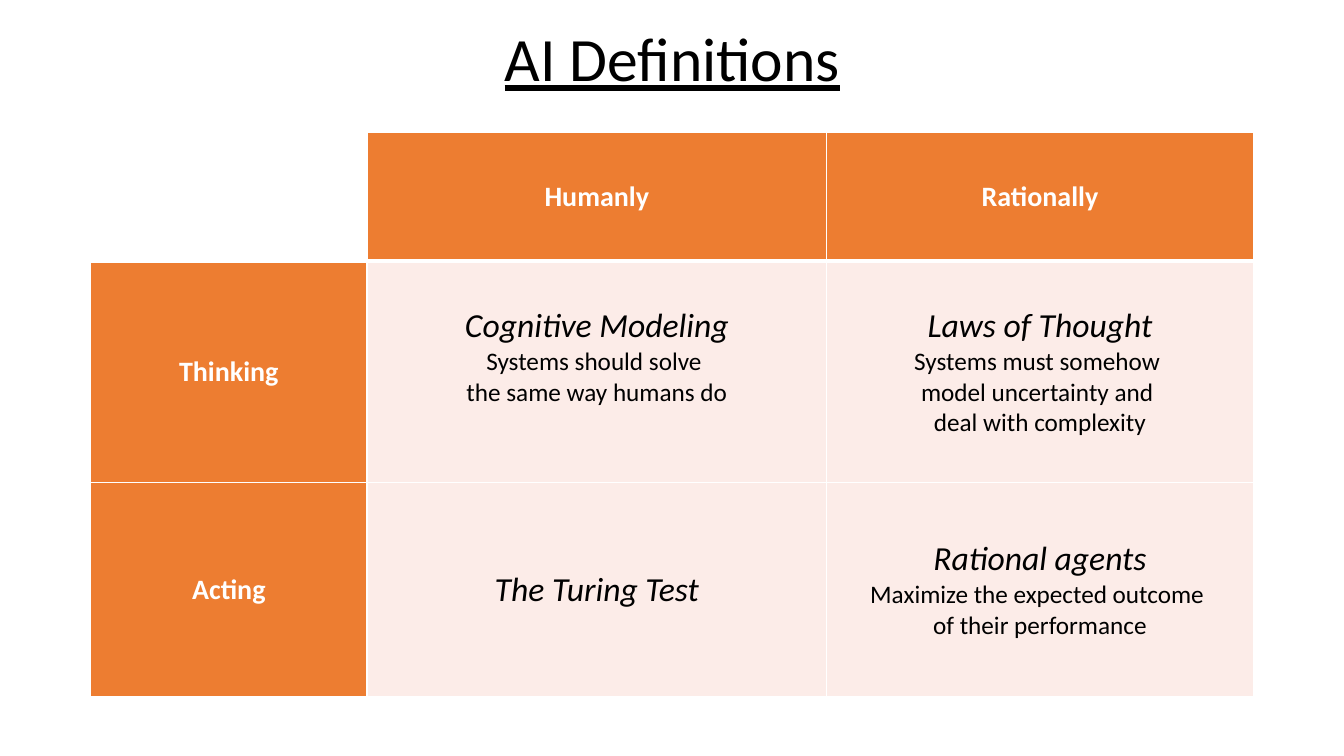
from lxml import etree
from pptx import Presentation
from pptx.dml.color import RGBColor
from pptx.enum.text import MSO_ANCHOR, PP_ALIGN
from pptx.oxml.ns import qn
from pptx.util import Inches, Pt

CENTER = PP_ALIGN.CENTER
MIDDLE = MSO_ANCHOR.MIDDLE
TITLE_ONLY = 5
FONT = "Calibri"
COLORS = {"black": "000000", "white": "FFFFFF", "orange": "ED7D31", "blush": "FCECE8"}

COLUMN_WIDTHS = [2.74, 4.56, 4.23]
ROW_HEIGHTS = [1.28, 2.2, 2.12]
COLUMN_HEADERS = ["Humanly", "Rationally"]
# Each row: its header, then (concept, explanation lines, bottom margin) per column
DEFINITIONS = [
    ("Thinking", [
        ("Cognitive Modeling", ["Systems should solve ", "the same way humans do"], 0.35),
        ("Laws of Thought",
         ["Systems must somehow ", "model uncertainty and ", "deal with complexity"], 0.05),
    ]),
    ("Acting", [
        ("The Turing Test", [], 0.05),
        ("Rational agents", ["Maximize the expected outcome ", "of their performance"], 0.05),
    ]),
]


def rgb(name):
    return RGBColor.from_string(COLORS[name])


def write_text(paragraph, lines, size, color="black", bold=False, italic=False, underline=False):
    """Write centred lines into one paragraph, parted by line breaks."""
    paragraph.alignment = CENTER
    for index, line in enumerate(lines):
        if index:
            paragraph.add_line_break()
        run = paragraph.add_run()
        run.text = line
        font = run.font
        font.name, font.size, font.color.rgb = FONT, Pt(size), rgb(color)
        font.bold, font.italic, font.underline = bold, italic, underline


def set_borders(cell, top=1, bottom=1):
    properties = cell._tc.get_or_add_tcPr()
    for side, width in (("L", 1), ("R", 1), ("T", top), ("B", bottom)):
        line = etree.SubElement(properties, qn(f"a:ln{side}"), w=str(Pt(width)))
        fill = etree.SubElement(line, qn("a:solidFill"))
        etree.SubElement(fill, qn("a:srgbClr"), val=COLORS["white"])


def fill_cell(cell, color):
    cell.vertical_anchor = MIDDLE
    cell.fill.solid()
    cell.fill.fore_color.rgb = rgb(color)


def write_header(cell, text):
    fill_cell(cell, "orange")
    write_text(cell.text_frame.paragraphs[0], [text], size=20, color="white", bold=True)


def write_definition(cell, concept, explanation, bottom_margin):
    fill_cell(cell, "blush")
    cell.margin_bottom = Inches(bottom_margin)
    write_text(cell.text_frame.paragraphs[0], [concept], size=24, italic=True)
    if explanation:
        write_text(cell.text_frame.add_paragraph(), explanation, size=18)


def add_title(slide, text):
    title = slide.shapes.title
    title.left, title.top = Inches(0.92), Inches(0.1)
    title.width, title.height = Inches(11.5), Inches(1.03)
    title.text_frame.vertical_anchor = MIDDLE
    paragraph = title.text_frame.paragraphs[0]
    paragraph.line_spacing = 0.9
    write_text(paragraph, [text], size=44, underline=True)


def add_definition_table(slide):
    table = slide.shapes.add_table(
        len(ROW_HEIGHTS), len(COLUMN_WIDTHS), Inches(0.9), Inches(1.31),
        Inches(sum(COLUMN_WIDTHS)), Inches(sum(ROW_HEIGHTS))).table
    for column, width in zip(table.columns, COLUMN_WIDTHS):
        column.width = Inches(width)
    for row, height in zip(table.rows, ROW_HEIGHTS):
        row.height = Inches(height)

    # White grid, with a thicker line under the header row
    for row_index, row in enumerate(table.rows):
        for cell in row.cells:
            set_borders(cell, top=3 if row_index == 1 else 1, bottom=3 if row_index == 0 else 1)

    # Headers and definitions
    table.cell(0, 0).fill.background()
    for column_index, header in enumerate(COLUMN_HEADERS, start=1):
        write_header(table.cell(0, column_index), header)
    for row_index, (header, definitions) in enumerate(DEFINITIONS, start=1):
        write_header(table.cell(row_index, 0), header)
        for column_index, definition in enumerate(definitions, start=1):
            write_definition(table.cell(row_index, column_index), *definition)


def main():
    presentation = Presentation()
    presentation.slide_width, presentation.slide_height = Inches(13.33), Inches(7.5)
    slide = presentation.slides.add_slide(presentation.slide_layouts[TITLE_ONLY])
    add_title(slide, "AI Definitions")
    add_definition_table(slide)
    presentation.save("out.pptx")


if __name__ == "__main__":
    main()
